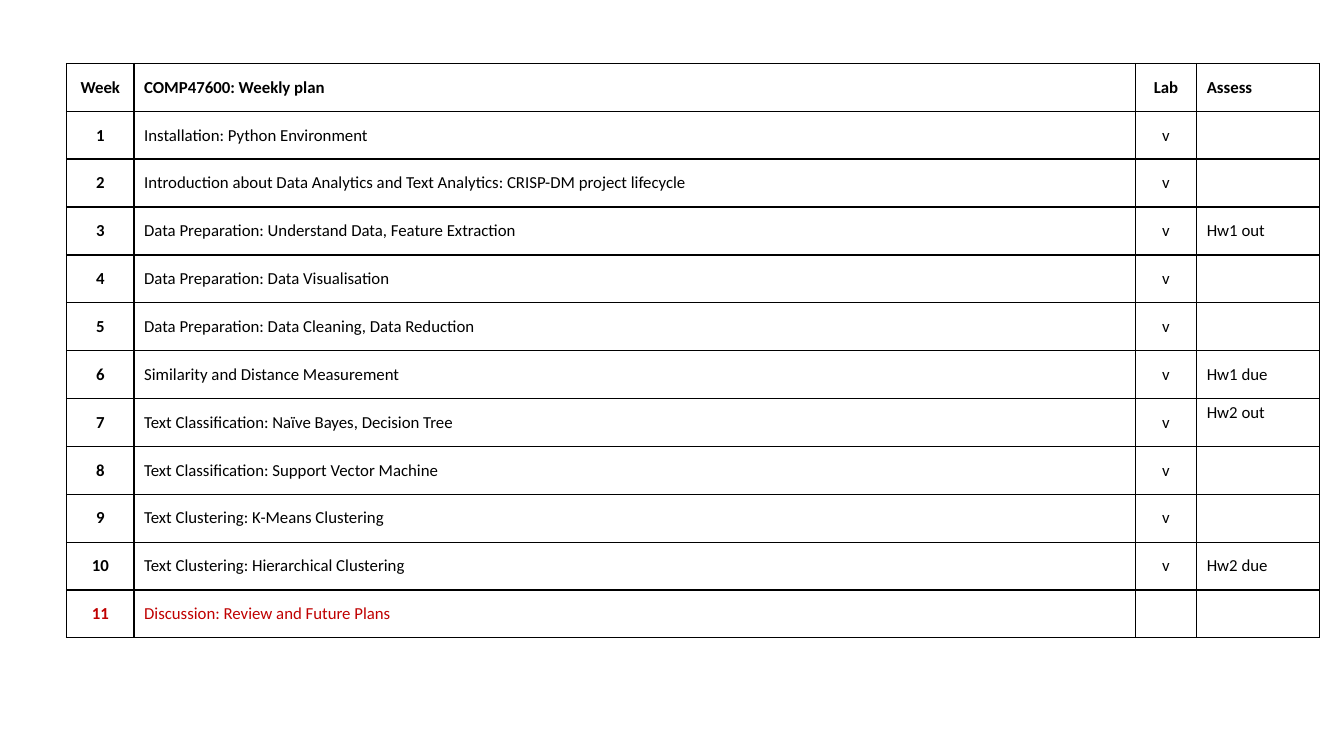
from lxml.etree import SubElement
from pptx import Presentation
from pptx.dml.color import RGBColor
from pptx.enum.text import MSO_ANCHOR, PP_ALIGN
from pptx.oxml.ns import qn
from pptx.util import Inches, Pt

COLUMN_WIDTHS = [0.67, 9.93, 0.61, 1.22]
CENTERED_COLUMNS = (0, 2)
HEADER = ("Week", "COMP47600: Weekly plan", "Lab", "Assess")
TOPICS = [
    "Installation: Python Environment",
    "Introduction about Data Analytics and Text Analytics: CRISP-DM project lifecycle",
    "Data Preparation: Understand Data, Feature Extraction",
    "Data Preparation: Data Visualisation",
    "Data Preparation: Data Cleaning, Data Reduction",
    "Similarity and Distance Measurement",
    "Text Classification: Naïve Bayes, Decision Tree",
    "Text Classification: Support Vector Machine",
    "Text Clustering: K-Means Clustering",
    "Text Clustering: Hierarchical Clustering",
    "Discussion: Review and Future Plans",
]
ASSESSMENTS = {3: "Hw1 out", 6: "Hw1 due", 7: "Hw2 out", 10: "Hw2 due"}
TOP_ALIGNED_WEEK = 7
REVIEW_WEEK = len(TOPICS)
HEAVY_RULE_AFTER_WEEK = 1


def color(hex_value):
    return RGBColor.from_string(hex_value)


class PlanSlide:
    font_name = "Calibri"
    font_size = 12
    ink = "000000"
    accent = "C00000"

    def __init__(self, presentation):
        self.slide = presentation.slides.add_slide(presentation.slide_layouts[6])

    def table(self, left, top, height, column_widths, row_count):
        frame = self.slide.shapes.add_table(
            row_count, len(column_widths), Inches(left), Inches(top),
            Inches(sum(column_widths)), Inches(height))
        table = frame.table
        table.first_row = False
        table.horz_banding = False
        for column, width in zip(table.columns, column_widths):
            column.width = Inches(width)
        for row in table.rows:
            row.height = Inches(height / row_count)
        return table

    def cell(self, cell, text, bold=False, centered=False, text_color=ink,
             anchor=MSO_ANCHOR.MIDDLE, top_line=1, bottom_line=1):
        cell.vertical_anchor = anchor
        cell.margin_left = cell.margin_right = Inches(0.1)
        cell.margin_top = cell.margin_bottom = Inches(0.04)
        self.borders(cell, {"L": 1, "R": 1, "T": top_line, "B": bottom_line})
        cell.fill.background()
        paragraph = cell.text_frame.paragraphs[0]
        paragraph.alignment = PP_ALIGN.CENTER if centered else PP_ALIGN.LEFT
        if text:
            run = paragraph.add_run()
            run.text = text
            run.font.name = self.font_name
            run.font.size = Pt(self.font_size)
            run.font.bold = bold
            run.font.color.rgb = color(text_color)

    def borders(self, cell, widths):
        properties = cell._tc.get_or_add_tcPr()
        for side, width in widths.items():
            line = SubElement(properties, qn(f"a:ln{side}"), w=str(Pt(width)))
            fill = SubElement(line, qn("a:solidFill"))
            SubElement(fill, qn("a:srgbClr"), val=self.ink)


def main():
    presentation = Presentation()
    presentation.slide_width = Inches(13.33)
    presentation.slide_height = Inches(7.5)
    plan = PlanSlide(presentation)

    # Rows: the header, then one per week with a lab in all but the last
    rows = [HEADER]
    for week, topic in enumerate(TOPICS, start=1):
        lab = "" if week == REVIEW_WEEK else "v"
        rows.append((str(week), topic, lab, ASSESSMENTS.get(week, "")))

    # Weekly plan table
    table = plan.table(0.66, 0.63, 5.7, COLUMN_WIDTHS, len(rows))
    for week, row in enumerate(rows):
        for column, text in enumerate(row):
            raised = week == TOP_ALIGNED_WEEK and column == 3
            plan.cell(
                table.cell(week, column), text,
                bold=week == 0 or column == 0,
                centered=column in CENTERED_COLUMNS,
                text_color=plan.accent if week == REVIEW_WEEK else plan.ink
                if column else plan.ink,
                anchor=MSO_ANCHOR.TOP if raised else MSO_ANCHOR.MIDDLE,
                top_line=1.5 if week == HEAVY_RULE_AFTER_WEEK + 1 else 1,
                bottom_line=1.5 if week == HEAVY_RULE_AFTER_WEEK else 1)

    presentation.save("out.pptx")


if __name__ == "__main__":
    main()
